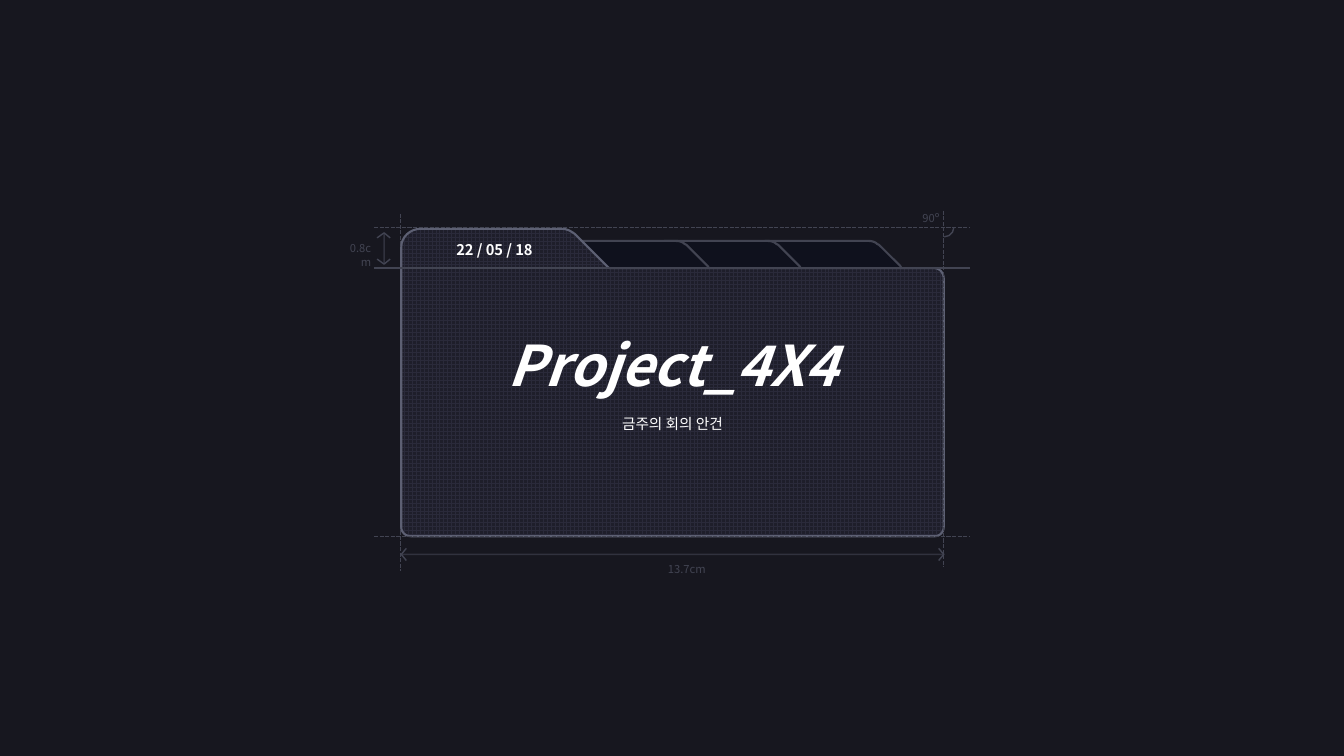
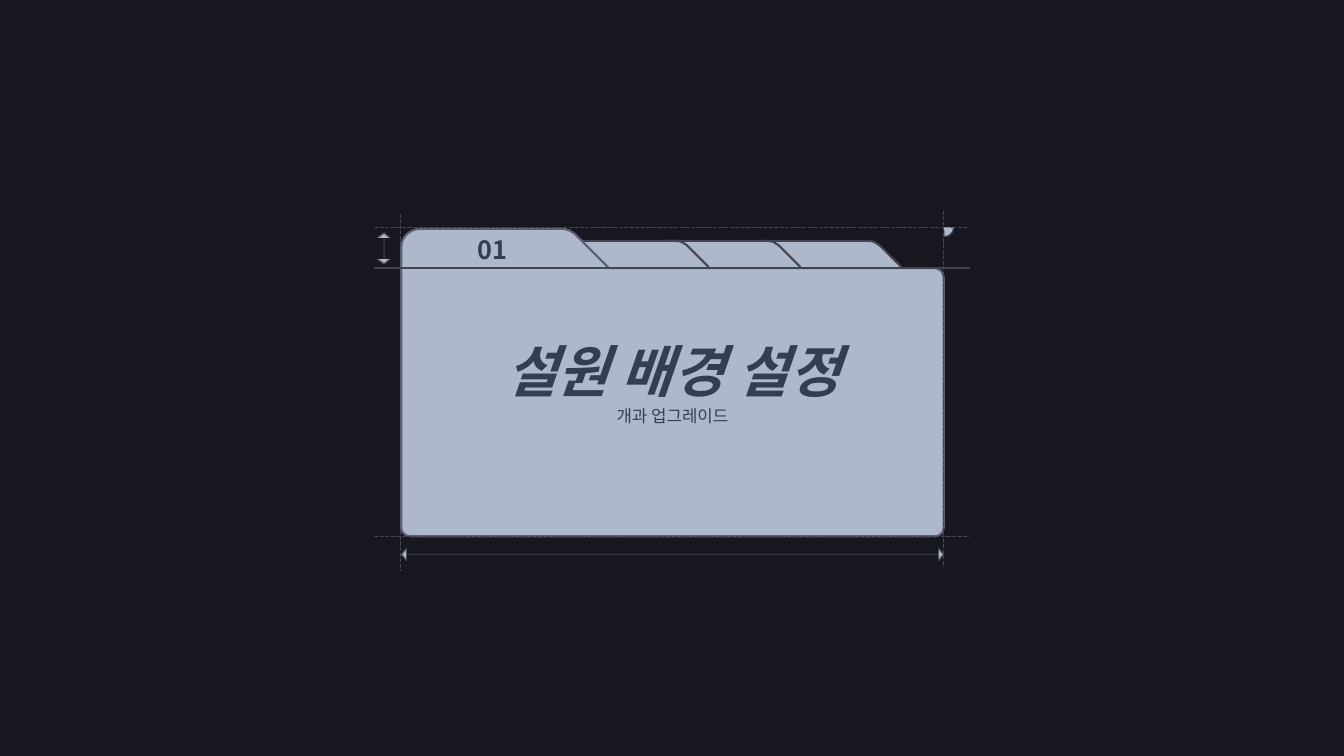
from lxml.etree import SubElement
from pptx import Presentation
from pptx.dml.color import RGBColor as RGB
from pptx.enum.dml import MSO_LINE as Dash, MSO_PATTERN_TYPE as Pat
from pptx.enum.shapes import MSO_CONNECTOR as Link, MSO_SHAPE as Kind
from pptx.enum.text import MSO_ANCHOR as Mid, MSO_AUTO_SIZE as Fit, PP_ALIGN as Al
from pptx.oxml.ns import qn
from pptx.util import Emu, Pt

SCALE = 9144
FONT = "Noto Sans CJK KR"
HUE = {"back": "17171F", "guide": "424452", "edge": "5D6073", "tab": "0F111D",
       "grid": "2A2A3A", "base": "1E1E2A", "pale": "ADB9CA",
       "white": "FFFFFF", "ink": "333F50"}
TABS = (747, 647, 556)
TAB = [(13, 239), (114, 239), (118, 239, 121, 240, 123, 242), (125, 243),
       (146, 264), (147, 266, 148, 267, 150, 267), (161, 267), (161, 280),
       (0, 280), (0, 252), (0, 244, 6, 239, 13, 239)]
FOLDER = [(417, 227), (557, 227), (562, 227, 566, 229, 570, 232), (602, 264),
          (603, 265, 604, 266, 605, 266), (927, 266),
          (932, 266, 936, 271, 936, 276), (936, 523),
          (936, 528, 932, 532, 927, 532), (408, 532),
          (402, 532, 398, 528, 398, 523), (398, 245),
          (398, 235, 407, 227, 417, 227)]
GUIDES = [((371, 226, 961, 226), True), ((936, 209, 936, 563), True),
          ((371, 266, 962, 266), False), ((371, 532, 961, 532), True)]
RULES = [(381, 231, 381, 262), (398, 550, 937, 550)]
HEADS = [[(374, 236), (381, 231), (387, 236)],
         [(387, 257), (381, 262), (374, 257)],
         [(403, 556), (398, 550), (403, 544)],
         [(931, 544), (936, 550), (931, 556)]]


def px(num):
    """Turn px into EMU."""
    return Emu(round(num * SCALE))


def rgb(name):
    """Look up a colour by name."""
    return RGB.from_string(HUE[name])


def trace(path):
    """Turn corners and cubic curves into a list of points."""
    dots = [path[0]]
    for step in path[1:]:
        if len(step) == 2:
            dots.append(step)
            continue
        pts = [dots[-1], step[:2], step[2:4], step[4:]]
        for i in range(1, 9):
            t = i / 8
            mix = ((1 - t) ** 3, 3 * t * (1 - t) ** 2, 3 * t * t * (1 - t), t ** 3)
            dots.append(tuple(sum(m * p[ax] for m, p in zip(mix, pts))
                              for ax in (0, 1)))
    return dots


def dress(shape, fill, edge="guide", width=1):
    """Give a shape its fill and outline."""
    shape.shadow.inherit = False
    if fill == "grid":
        shape.fill.patterned()
        shape.fill.pattern = Pat.LARGE_GRID
        shape.fill.fore_color.rgb = rgb("grid")
        shape.fill.back_color.rgb = rgb("base")
    elif fill:
        shape.fill.solid()
        shape.fill.fore_color.rgb = rgb(fill)
    else:
        shape.fill.background()
    shape.line.color.rgb = rgb(edge)
    shape.line.width = Pt(width)


def form(slide, path, fill, edge="guide", width=1.5, close=True):
    """Draw an outline through a path."""
    dots = [(px(x), px(y)) for x, y in trace(path)]
    pen = slide.shapes.build_freeform(*dots[0], scale=1.0)
    pen.add_line_segments(dots[1:], close=close)
    dress(pen.convert_to_shape(), fill, edge, width)


def rule(slide, ends, dash=False, alpha=None):
    """Draw a guide line."""
    line = slide.shapes.add_connector(Link.STRAIGHT, *map(px, ends))
    line.line.color.rgb = rgb("guide")
    line.line.width = Pt(1)
    if dash:
        line.line.dash_style = Dash.SQUARE_DOT
    props = line.element.spPr
    if alpha:
        tint = props.find(".//" + qn("a:srgbClr"))
        SubElement(tint, qn("a:alpha")).set("val", str(alpha * 1000))
    SubElement(props, qn("a:effectLst"))


def write(frame, text, size, hue, al=Al.CENTER, bold=False, slant=False):
    """Write one run into a text frame."""
    para = frame.paragraphs[0]
    para.alignment = al
    para.space_before = Pt(0)
    para.line_spacing = 1.0
    run = para.add_run()
    run.text = text
    font = run.font
    font.size, font.bold, font.italic = Pt(size), bold, slant
    font.color.rgb = rgb(hue)
    font.name = FONT
    SubElement(run._r.rPr, qn("a:ea")).set("typeface", FONT)


def label(slide, box, text, size, hue, al=Al.CENTER, bold=False, wrap=True):
    """Add a small text box."""
    frame = slide.shapes.add_textbox(*map(px, box)).text_frame
    frame.word_wrap = wrap
    write(frame, text, size, hue, al, bold)


def place(slide, holder, top, high, text, size, hue, head=False):
    """Move a placeholder over the folder and fill it."""
    holder.left, holder.top = px(398), px(top)
    holder.width, holder.height = px(538), px(high)
    frame = holder.text_frame
    frame.auto_size = Fit.NONE
    frame.word_wrap = True
    frame.vertical_anchor = Mid.MIDDLE
    frame.margin_left = frame.margin_right = 0
    frame.margin_top = frame.margin_bottom = 0
    write(frame, text, size, hue, bold=head, slant=head)
    slide.shapes.element.append(holder.element)


def marks(slide, fill):
    """Draw the guides, arrows and angle."""
    for ends, dash in GUIDES:
        rule(slide, ends, dash)
    for ends in RULES:
        rule(slide, ends, alpha=61)
    for head in HEADS:
        form(slide, head, fill, width=1, close=False)
    arc = slide.shapes.add_shape(Kind.ARC, *map(px, (927, 216, 19, 19)))
    arc.adjustments[0], arc.adjustments[1] = 1.33, 53.74
    dress(arc, fill)


def build(deck, title, sub, tab, hue, fills):
    """Make one folder slide."""
    slide = deck.slides.add_slide(deck.slide_layouts[0])
    back, front, mark = fills
    rule(slide, (397, 212, 397, 566), True)
    for left in TABS:
        path = [tuple(n + left * (i % 2 == 0) for i, n in enumerate(step))
                for step in TAB]
        form(slide, path, back)
    form(slide, FOLDER, front, "edge")
    place(slide, slide.shapes.title, *title, 40, hue, True)
    place(slide, slide.placeholders[1], *sub, hue)
    marks(slide, mark)
    label(slide, *tab, hue, bold=True)
    return slide


def main():
    """Build and save the deck."""
    deck = Presentation()
    deck.slide_width, deck.slide_height = px(1333), px(750)
    ground = deck.slide_master.background.fill
    ground.solid()
    ground.fore_color.rgb = rgb("back")
    cover = build(deck, (321, 80, "Project_4X4"), (408, 24, "금주의 회의 안건", 10.5),
                  ((412, 234, 157, 28), "22 / 05 / 18", 10.5), "white",
                  ("tab", "grid", None))
    label(cover, (328, 235, 50, 37), "0.8cm", 8, "guide", Al.RIGHT)
    label(cover, (905, 205, 45, 24), "90º", 8, "guide", Al.LEFT, wrap=False)
    label(cover, (647, 553, 63, 24), "13.7cm", 8, "guide", Al.RIGHT)
    build(deck, (327, 80, "설원 배경 설정"), (400, 24, "개과 업그레이드", 12),
          ((410, 228, 157, 40), "01", 18), "ink", ("pale",) * 3)
    deck.save("out.pptx")


if __name__ == "__main__":
    main()
